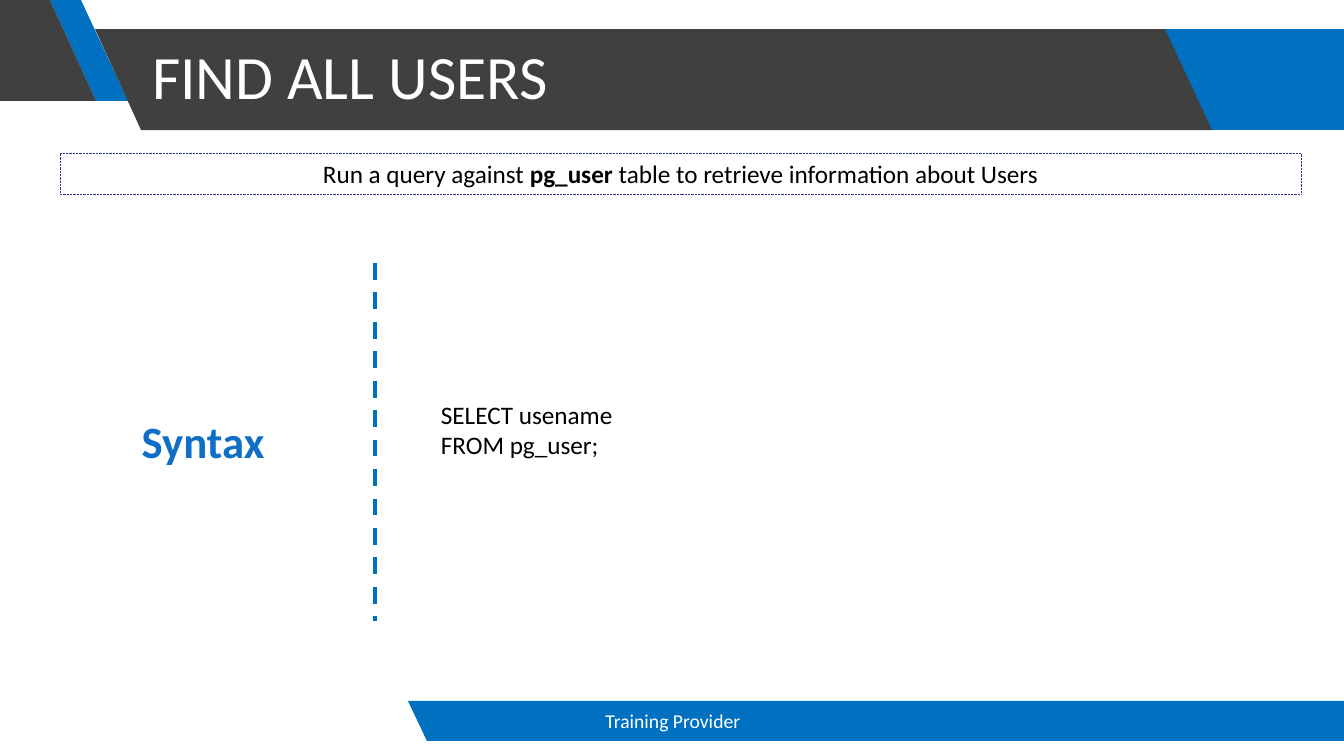
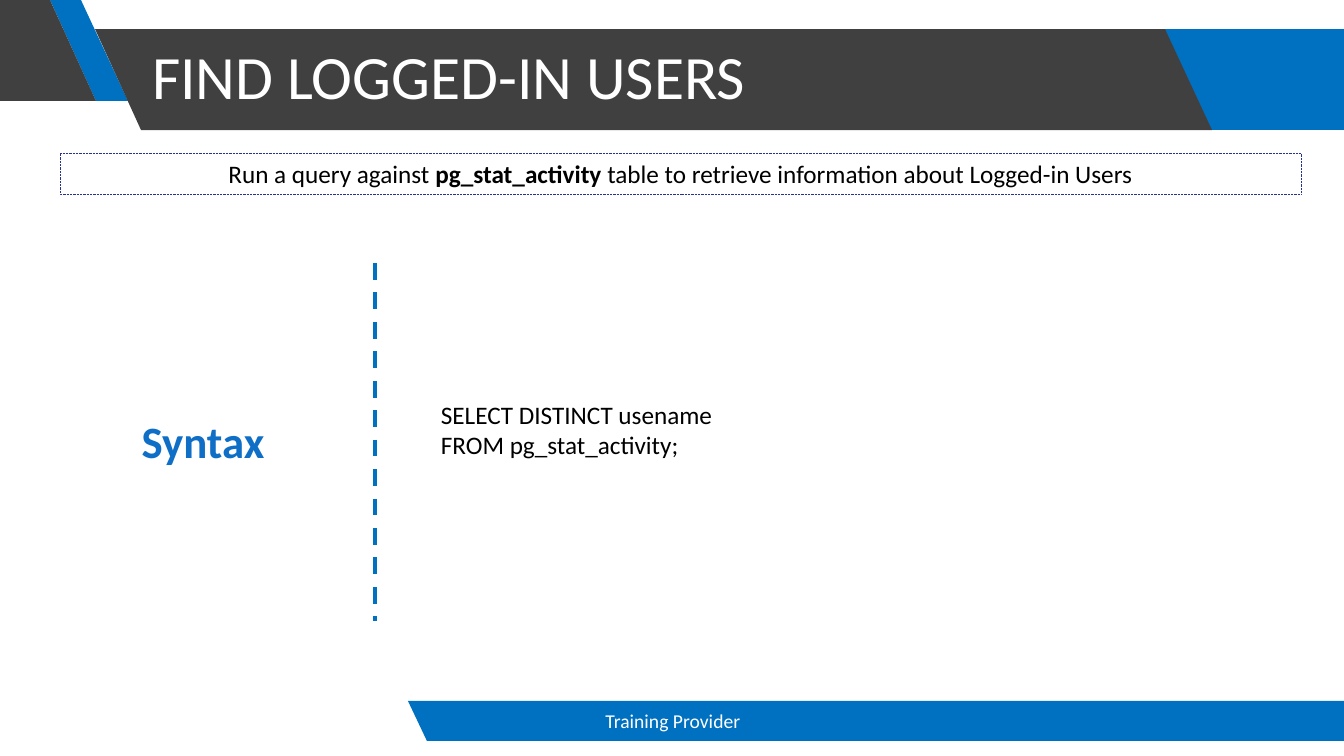
from lxml.etree import SubElement
from pptx import Presentation
from pptx.dml.color import RGBColor
from pptx.enum.dml import MSO_LINE
from pptx.enum.shapes import MSO_CONNECTOR, MSO_SHAPE, PP_PLACEHOLDER
from pptx.enum.text import MSO_ANCHOR, MSO_AUTO_SIZE, PP_ALIGN
from pptx.oxml.ns import qn
from pptx.util import Emu, Pt

BLUE = RGBColor(0x00, 0x70, 0xC0)
LABEL_BLUE = RGBColor(0x0F, 0x6F, 0xC6)
NAVY = RGBColor(0x26, 0x33, 0x93)
CHARCOAL = RGBColor(0x40, 0x40, 0x40)
WHITE = RGBColor(0xFF, 0xFF, 0xFF)
BLACK = RGBColor(0x00, 0x00, 0x00)
FONT = "Calibri"
EMU_PER_PX = 914400 / 100.8

BANDS = [
    (BLUE, [(1077, 29), (1344, 29), (1344, 130), (1077, 130)]),
    (BLUE, [(50, 0), (81, 0), (128, 101), (96, 101)]),
    (CHARCOAL, [(0, 0), (50, 0), (96, 101), (0, 101)]),
    (CHARCOAL, [(95, 29), (1165, 29), (1212, 130), (141, 130)]),
    (BLUE, [(408, 701), (1344, 701), (1344, 741), (427, 741)]),
]

SLIDES = [
    (
        "FIND ALL USERS",
        "pg_user",
        " table to retrieve information about Users",
        ["SELECT usename", "FROM pg_user;"],
    ),
    (
        "FIND LOGGED-IN USERS",
        "pg_stat_activity",
        " table to retrieve information about Logged-in Users",
        ["SELECT DISTINCT usename", "FROM pg_stat_activity;"],
    ),
]


def px(*lengths):
    return [Emu(round(length * EMU_PER_PX)) for length in lengths]


def write(shape, lines, size, color, alignment, anchor=MSO_ANCHOR.TOP):
    frame = shape.text_frame
    frame.word_wrap = True
    frame.auto_size = MSO_AUTO_SIZE.NONE
    frame.vertical_anchor = anchor
    for index, runs in enumerate(lines):
        paragraph = frame.add_paragraph() if index else frame.paragraphs[0]
        paragraph.alignment = alignment
        for text, bold in runs:
            run = paragraph.add_run()
            run.text = text
            run.font.name = FONT
            run.font.size = Pt(size)
            run.font.bold = bold
            run.font.color.rgb = color


presentation = Presentation()
presentation.slide_width, presentation.slide_height = px(1344, 756)

layout = presentation.slide_layouts.get_by_name("Title Only")
for placeholder in list(layout.placeholders):
    if placeholder.placeholder_format.type != PP_PLACEHOLDER.TITLE:
        layout.shapes.element.remove(placeholder.element)

slides = [presentation.slides.add_slide(layout) for _ in SLIDES]

for color, points in BANDS:
    builder = slides[0].shapes.build_freeform(*points[0], scale=EMU_PER_PX)
    builder.add_line_segments(points[1:], close=True)
    band = builder.convert_to_shape()
    band.shadow.inherit = False
    band.fill.solid()
    band.fill.fore_color.rgb = color
    band.line.fill.background()
    layout.shapes.element.append(band.element)

for slide, (heading, table_name, purpose, code) in zip(slides, SLIDES):
    shapes = slide.shapes

    title = shapes.title
    title.left, title.top, title.width, title.height = px(142, 7, 1022, 146)
    write(title, [[(heading, False)]], 44, WHITE, PP_ALIGN.LEFT, MSO_ANCHOR.MIDDLE)
    title.text_frame.paragraphs[0].line_spacing = 0.9

    footer = shapes.add_textbox(*px(446, 701, 454, 40))
    write(footer, [[("Training Provider", False)]], 14, WHITE, PP_ALIGN.CENTER, MSO_ANCHOR.MIDDLE)

    summary = shapes.add_shape(MSO_SHAPE.RECTANGLE, *px(60, 153, 1241, 41))
    summary.shadow.inherit = False
    summary.fill.background()
    summary.line.color.rgb = NAVY
    summary.line.width = Pt(0.5)
    summary.line.dash_style = MSO_LINE.ROUND_DOT
    summary_runs = [("Run a query against ", False), (table_name, True), (purpose, False)]
    write(summary, [summary_runs], 18, BLACK, PP_ALIGN.CENTER)

    divider = shapes.add_connector(MSO_CONNECTOR.STRAIGHT, *px(375, 263, 375, 621))
    divider.line.color.rgb = BLUE
    divider.line.width = Pt(3)
    divider.line.dash_style = MSO_LINE.DASH
    SubElement(divider.element.spPr, qn("a:effectLst"))

    label = shapes.add_textbox(*px(31, 409, 344, 65))
    write(label, [[("Syntax", True)]], 32, LABEL_BLUE, PP_ALIGN.CENTER)

    query = shapes.add_textbox(*px(431, 394, 833, 72))
    write(query, [[(line, False)] for line in code], 18, BLACK, PP_ALIGN.LEFT)

presentation.save("out.pptx")
